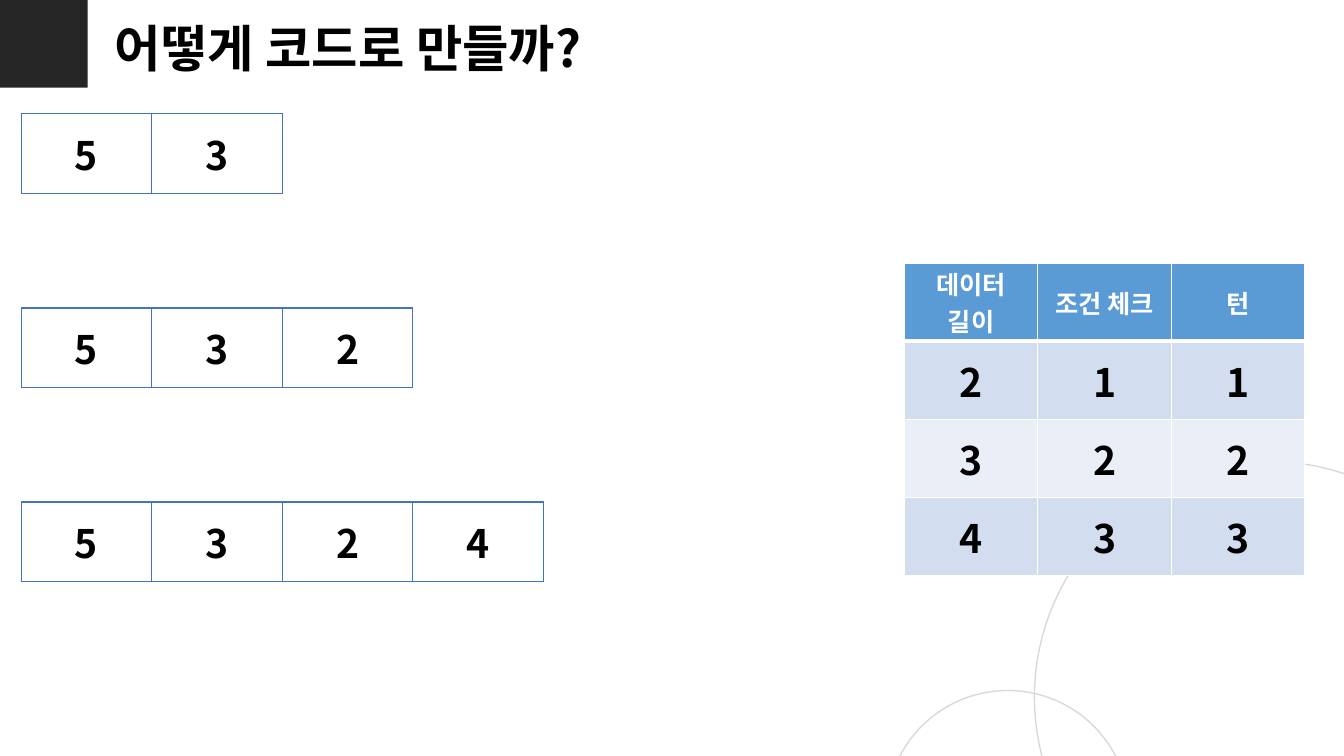
from pptx import Presentation
from pptx.dml.color import RGBColor
from pptx.enum import shapes, text
from pptx.oxml import xmlchemy as xml
from pptx.util import Inches, Pt

BLACK = RGBColor(0x00, 0x00, 0x00)
WHITE = RGBColor(0xFF, 0xFF, 0xFF)
DARK = RGBColor(0x26, 0x26, 0x26)
GREY = RGBColor(0xD9, 0xD9, 0xD9)
BLUE = RGBColor(0x44, 0x72, 0xC4)
HEAD = RGBColor(0x5B, 0x9B, 0xD5)
BAND = RGBColor(0xD2, 0xDE, 0xEF)
PALE = RGBColor(0xEA, 0xEF, 0xF7)
FONT = "Noto Sans CJK SC"


def style(run, size, color):
    for key, val in {"name": FONT, "size": Pt(size), "bold": True}.items():
        setattr(run.font, key, val)
    run.font.color.rgb = color
    face = xml.OxmlElement("a:ea")
    face.set("typeface", FONT)
    run.font._element.find("{*}latin").addnext(face)


def border(cell, color, widths):
    props = cell._tc.get_or_add_tcPr()
    for spot, (side, width) in enumerate(widths.items()):
        line = xml.OxmlElement("a:ln" + side)
        line.set("w", str(Pt(width)))
        fill = xml.OxmlElement("a:solidFill")
        tint = xml.OxmlElement("a:srgbClr")
        tint.set("val", str(color))
        fill.append(tint)
        line.append(fill)
        props.insert(spot, line)


def shape(slide, kind, box, fill=None, line=None):
    item = slide.shapes.add_shape(kind, *map(Inches, box))
    item.shadow.inherit = False
    if fill is None:
        item.fill.background()
    else:
        item.fill.solid()
        item.fill.fore_color.rgb = fill
    if line is None:
        item.line.fill.background()
    else:
        item.line.color.rgb = line
        item.line.width = Pt(1)


def rings(slide, left, top):
    for dx, dy, size in ((1.47, 0, 4.67), (0, 2.27, 2.41)):
        box = (left + dx, top + dy, size, size)
        shape(slide, shapes.MSO_SHAPE.OVAL, box, line=GREY)


def banner(slide, left, top, size):
    shape(slide, shapes.MSO_SHAPE.RECTANGLE, (left, top, size, size), fill=DARK)
    title = slide.shapes.title
    place = {"left": left + 1.04, "top": top + 0.12, "width": 6.4, "height": 0.71}
    for key, val in place.items():
        setattr(title, key, Inches(val))
    frame = title.text_frame
    frame.text = "어떻게 코드로 만들까?"
    look = {
        "word_wrap": True,
        "auto_size": text.MSO_AUTO_SIZE.SHAPE_TO_FIT_TEXT,
        "vertical_anchor": text.MSO_ANCHOR.TOP,
    }
    for key, val in look.items():
        setattr(frame, key, val)
    line = frame.paragraphs[0]
    line.alignment = text.PP_ALIGN.LEFT
    style(line.runs[0], 36, BLACK)


def grid(slide, box, rows):
    table = slide.shapes.add_table(len(rows), len(rows[0]), *map(Inches, box)).table
    table.first_row = table.horz_banding = False
    for r, row in enumerate(rows):
        for c, words in enumerate(row):
            yield r, table.cell(r, c), words


def write(cell, words, size, color):
    cell.text = words
    cell.vertical_anchor = text.MSO_ANCHOR.MIDDLE
    for line in cell.text_frame.paragraphs:
        line.alignment = text.PP_ALIGN.CENTER
        for run in line.runs:
            style(run, size, color)


def strip(slide, left, top, values):
    box = (left, top, 1.295 * len(values), 0.79)
    for _, cell, words in grid(slide, box, [values]):
        write(cell, words, 28, BLACK)
        cell.fill.background()
        border(cell, BLUE, dict.fromkeys("LRTB", 1))


def count(slide, box, rows):
    for r, cell, words in grid(slide, box, rows):
        write(cell, words, 28 if r else 18, BLACK if r else WHITE)
        cell.margin_top = cell.margin_bottom = Inches(0.02)
        cell.fill.solid()
        cell.fill.fore_color.rgb = (BAND if r % 2 else PALE) if r else HEAD
        widths = {"L": 1, "R": 1, "T": 3 if r == 1 else 1, "B": 1 if r else 3}
        border(cell, WHITE, widths)


def main():
    deck = Presentation()
    deck.slide_width, deck.slide_height = Inches(13.33), Inches(7.5)
    slide = deck.slides.add_slide(deck.slide_layouts[5])
    rings(slide, 8.79, 4.58)
    banner(slide, 0, 0, 0.87)
    data = "5324"
    for step in range(3):
        strip(slide, 0.21, 1.13 + 1.925 * step, data[:step + 2])
    rows = [["데이터\n길이", "조건 체크", "턴"]]
    rows += [[str(n), str(n - 1), str(n - 1)] for n in range(2, 5)]
    count(slide, (8.97, 2.61, 3.97, 3.1), rows)
    deck.save("out.pptx")


if __name__ == "__main__":
    main()
